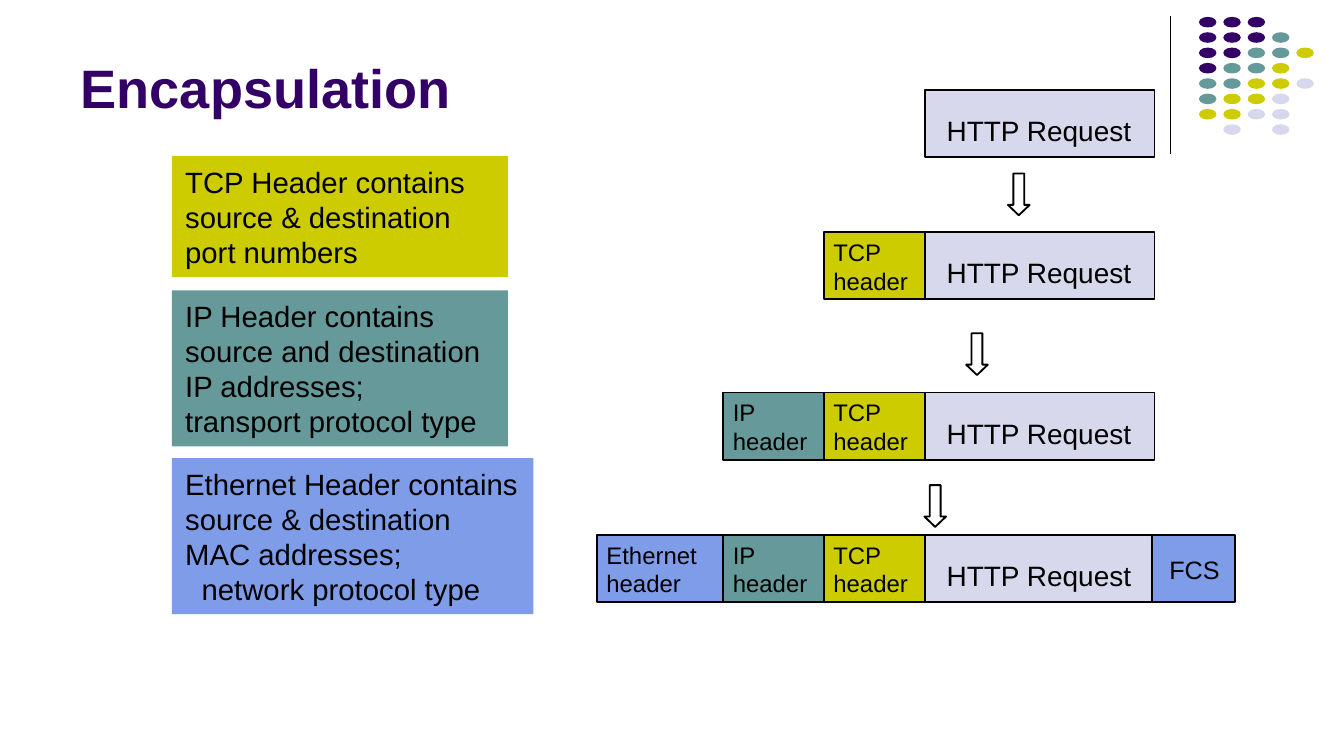
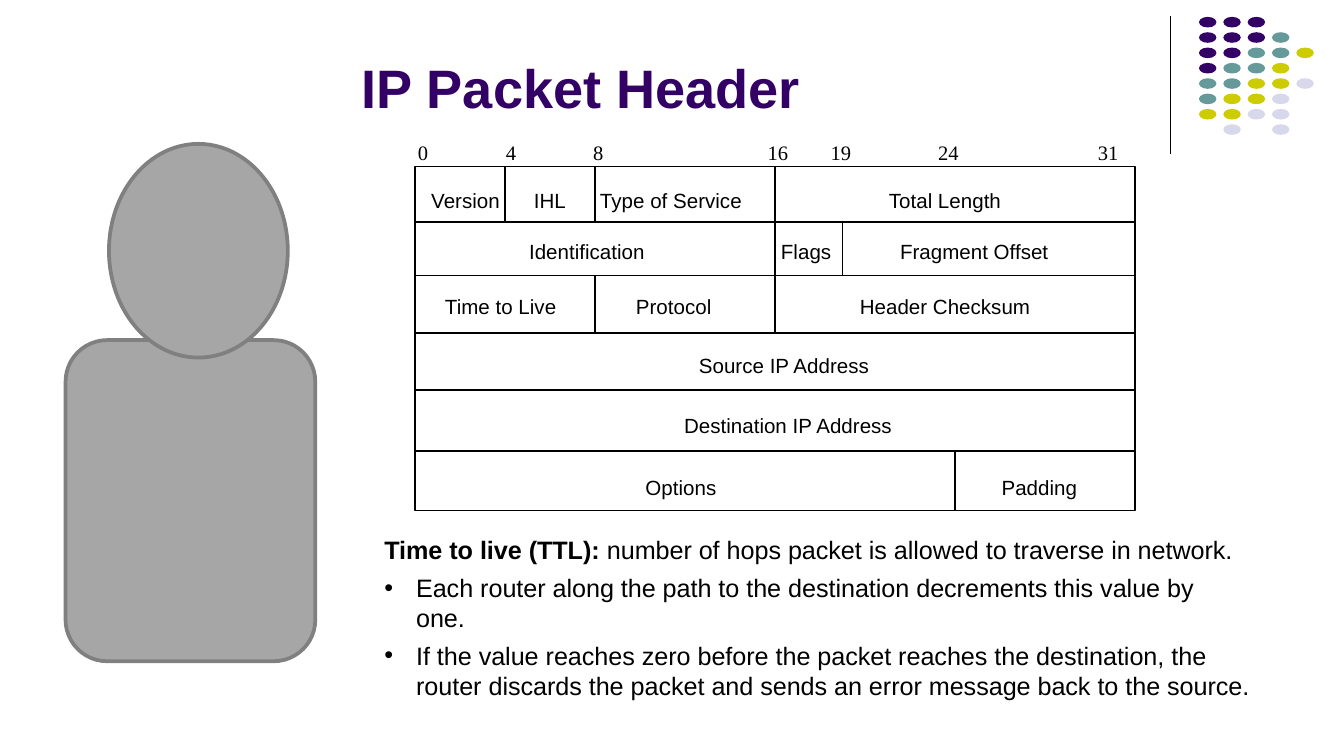
import lxml.etree
import pptx
import pptx.dml.color
import pptx.enum.shapes
import pptx.enum.text
import pptx.oxml.ns
import pptx.util

Cm = pptx.util.Cm
Pt = pptx.util.Pt
SHAPES = pptx.enum.shapes.MSO_SHAPE
ANCHOR = pptx.enum.text.MSO_ANCHOR
ALIGN = pptx.enum.text.PP_ALIGN

BLACK = "000000"
WHITE = "FFFFFF"
PURPLE = "330066"
TEAL = "669999"
YELLOW = "CCCC00"
LAVENDER = "D8D8EC"
BLUE = "7E9CE8"
GREY = "A6A6A6"
DARK_GREY = "808080"

DOT_COLORS = {"P": PURPLE, "T": TEAL, "Y": YELLOW, "L": LAVENDER}
DOT_ROWS = ["PPP", "PPPT", "PPTTY", "PTTY", "TTYYL", "TYYL", "YYLL", " L L"]

SEGMENTS = {
    "Ethernet header": (11.28, 2.39, BLUE, 12.8, 0.18, 0.1),
    "IP header": (13.67, 1.96, TEAL, 12.8, 0.18, 0.1),
    "TCP header": (15.57, 1.96, YELLOW, 12.8, 0.18, 0.1),
    "HTTP Request": (17.48, 4.34, LAVENDER, 15, 0.41, 0.45),
    "FCS": (21.77, 1.57, BLUE, 13.5, 0.33, 0.36),
}
PACKETS = [
    (1.7, ["HTTP Request"]),
    (4.39, ["TCP header", "HTTP Request"]),
    (7.42, ["IP header", "TCP header", "HTTP Request"]),
    (10.11, list(SEGMENTS)),
]
ARROWS = [(19.05, 3.28), (18.26, 6.3), (17.47, 9.17)]
LEGENDS = [
    (2.95, 6.35, 2.29, YELLOW,
     ["TCP Header contains source & destination port numbers"]),
    (5.49, 6.35, 2.95, TEAL,
     ["IP Header contains source and destination IP addresses;",
      "transport protocol type"]),
    (8.66, 6.83, 2.95, BLUE,
     ["Ethernet Header contains source & destination\vMAC addresses;",
      "network protocol type"]),
]

HEADER_LEFT, HEADER_TOP, HEADER_BOTTOM = 7.85, 3.15, 9.65
BIT_WIDTH = 0.425
BIT_LABELS = [(7.9, "0"), (9.56, "4"), (11.21, "8"), (14.51, "16"),
              (15.7, "19"), (17.73, "24"), (20.75, "31")]
HEADER_ROWS = [
    (3.15, 3.56, [(0, 8.15, "Version"), (4, 10.09, "IHL"),
                  (8, 11.34, "Type of Service"), (16, 16.8, "Total Length")]),
    (4.2, 4.52, [(0, 10, "Identification"), (16, 14.76, "Flags"),
                 (19, 17.01, "Fragment Offset")]),
    (5.21, 5.56, [(0, 8.41, "Time to Live"), (8, 12.02, "Protocol"),
                  (16, 16.25, "Header Checksum")]),
    (6.29, 6.68, [(0, 13.21, "Source IP Address")]),
    (7.37, 7.8, [(0, 12.93, "Destination IP Address")]),
    (8.53, 8.97, [(0, 12.2, "Options"), (24, 18.93, "Padding")]),
]


def hex_color(value):
    return pptx.dml.color.RGBColor.from_string(value)


def place(shape, left, top, width, height):
    shape.left, shape.top = Cm(left), Cm(top)
    shape.width, shape.height = Cm(width), Cm(height)


def style_paragraph(paragraph, size, color=BLACK, bold=False, font="Arial"):
    paragraph.alignment = ALIGN.LEFT
    paragraph.font.name = font
    paragraph.font.size = Pt(size)
    paragraph.font.bold = bold
    paragraph.font.color.rgb = hex_color(color)


def set_indent(paragraph, left=0, hanging=0, right=0, bullet=None):
    properties = paragraph._p.get_or_add_pPr()
    properties.set("marL", str(Cm(left)))
    properties.set("marR", str(Cm(right)))
    properties.set("indent", str(-Cm(hanging)))
    tag = "a:buChar" if bullet else "a:buNone"
    element = lxml.etree.SubElement(properties, pptx.oxml.ns.qn(tag))
    if bullet:
        element.set("char", bullet)


def set_insets(frame, left, top):
    frame.margin_left = frame.margin_right = Cm(left)
    frame.margin_top = frame.margin_bottom = Cm(top)


def add_shape(shapes, kind, box, fill=None, line=None, line_width=1):
    shape = shapes.add_shape(kind, *[Cm(length) for length in box])
    shape.shadow.inherit = False
    if fill:
        shape.fill.solid()
        shape.fill.fore_color.rgb = hex_color(fill)
    else:
        shape.fill.background()
    if line:
        shape.line.color.rgb = hex_color(line)
        shape.line.width = Pt(line_width)
    else:
        shape.line.fill.background()
    return shape


def add_line(slide, x1, y1, x2, y2, width=0.88):
    connector = slide.shapes.add_connector(
        pptx.enum.shapes.MSO_CONNECTOR.STRAIGHT, Cm(x1), Cm(y1), Cm(x2), Cm(y2))
    connector.line.color.rgb = hex_color(BLACK)
    connector.line.width = Pt(width)
    lxml.etree.SubElement(connector.element.spPr, pptx.oxml.ns.qn("a:effectLst"))
    return connector


def add_label(slide, left, top, text, font="Arial"):
    width = 0.2 * len(text) + 0.3
    label = slide.shapes.add_textbox(Cm(left), Cm(top), Cm(width), Cm(0.48))
    frame = label.text_frame
    frame.word_wrap = False
    set_insets(frame, 0, 0)
    frame.text = text
    style_paragraph(frame.paragraphs[0], 11, font=font)


def add_title(slide, text, left):
    title = slide.shapes.title
    place(title, left, 0.25, 22.23 - left, 2.13)
    frame = title.text_frame
    frame.text = text
    frame.vertical_anchor = ANCHOR.BOTTOM
    frame.auto_size = pptx.enum.text.MSO_AUTO_SIZE.NONE
    style_paragraph(frame.paragraphs[0], 29, PURPLE, True)


def add_legend(slide, top, width, height, fill, lines):
    shape = add_shape(slide.shapes, SHAPES.RECTANGLE, (3.25, top, width, height), fill)
    frame = shape.text_frame
    frame.word_wrap = True
    frame.margin_right = Cm(0.1)
    frame.vertical_anchor = ANCHOR.MIDDLE
    frame.text = "\n".join(lines)
    for paragraph in frame.paragraphs:
        set_indent(paragraph, 0.31 if paragraph.text.startswith("network") else 0)
        style_paragraph(paragraph, 15.7)


def add_segment(slide, name, top):
    left, width, fill, size, inset_left, inset_top = SEGMENTS[name]
    shape = add_shape(slide.shapes, SHAPES.RECTANGLE, (left, top, width, 1.27), fill, BLACK)
    frame = shape.text_frame
    frame.word_wrap = True
    frame.vertical_anchor = ANCHOR.TOP
    set_insets(frame, inset_left, inset_top)
    frame.margin_right = frame.margin_bottom = 0
    frame.text = name
    style_paragraph(frame.paragraphs[0], size)


def add_packet_header(slide):
    right = HEADER_LEFT + 32 * BIT_WIDTH
    add_shape(slide.shapes, SHAPES.RECTANGLE,
              (HEADER_LEFT, HEADER_TOP, right - HEADER_LEFT, HEADER_BOTTOM - HEADER_TOP),
              line=BLACK, line_width=0.88)
    for left, text in BIT_LABELS:
        add_label(slide, left, 2.64, text, "Times New Roman")
    bottoms = [row[0] for row in HEADER_ROWS[1:]] + [HEADER_BOTTOM]
    for (top, text_top, fields), bottom in zip(HEADER_ROWS, bottoms):
        if top > HEADER_TOP:
            add_line(slide, HEADER_LEFT, top, right, top)
        for bit, text_left, text in fields:
            if bit:
                x = HEADER_LEFT + bit * BIT_WIDTH
                add_line(slide, x, top, x, bottom)
            add_label(slide, text_left, text_top, text)


def add_ttl_notes(slide):
    body = slide.placeholders[1]
    place(body, 7.01, 9.98, 16.99, 2.92)
    frame = body.text_frame
    frame.auto_size = pptx.enum.text.MSO_AUTO_SIZE.NONE
    heading = frame.paragraphs[0]
    heading.add_run().text = "Time to live (TTL):"
    heading.add_run().text = " number of hops packet is allowed to traverse in network."
    heading.runs[0].font.bold = True
    heading.space_before = Pt(0)
    set_indent(heading)
    style_paragraph(heading, 13.5)
    bullets = [
        ("Each router along the path to the destination decrements this value by one.", 0.4),
        ("If the value reaches zero before the packet reaches the destination, the router "
         "discards the packet and sends an error message back to the source.", 0),
    ]
    for text, right in bullets:
        paragraph = frame.add_paragraph()
        paragraph.text = text
        paragraph.space_before = Pt(4)
        set_indent(paragraph, 0.6, 0.6, right, "•")
        style_paragraph(paragraph, 13.5)


def add_master_decoration(presentation, slide):
    divider = add_line(slide, 22.12, 0.3, 22.12, 2.92, 0.75)
    dots = slide.shapes.add_group_shape()
    for row, pattern in enumerate(DOT_ROWS):
        for column, key in enumerate(pattern):
            if key in DOT_COLORS:
                box = (22.66 + 0.46 * column, 0.32 + 0.29 * row, 0.33, 0.2)
                add_shape(dots.shapes, SHAPES.OVAL, box, DOT_COLORS[key])
    for shape in (divider, dots):
        presentation.slide_master.shapes.element.append(shape.element)


def build_encapsulation(presentation):
    slide = presentation.slides.add_slide(presentation.slide_layouts[5])
    add_title(slide, "Encapsulation", 1.27)
    for legend in LEGENDS:
        add_legend(slide, *legend)
    for left, top in ARROWS:
        arrow = add_shape(slide.shapes, SHAPES.DOWN_ARROW, (left, top, 0.41, 0.79), WHITE, BLACK)
        arrow.adjustments[1] = 0.476
    for top, names in PACKETS:
        for name in names:
            add_segment(slide, name, top)
    return slide


def build_packet_header(presentation):
    slide = presentation.slides.add_slide(presentation.slide_layouts[1])
    add_title(slide, "IP Packet Header", 6.58)
    add_packet_header(slide)
    add_ttl_notes(slide)
    add_shape(slide.shapes, SHAPES.ROUNDED_RECTANGLE, (1.24, 6.43, 4.72, 6.07), GREY, DARK_GREY, 2)
    add_shape(slide.shapes, SHAPES.OVAL, (2.06, 2.72, 3.38, 4.04), GREY, DARK_GREY, 2)


def main():
    presentation = pptx.Presentation()
    presentation.slide_width = Cm(25.4)
    presentation.slide_height = Cm(14.29)
    slide = build_encapsulation(presentation)
    build_packet_header(presentation)
    add_master_decoration(presentation, slide)
    presentation.save("out.pptx")


if __name__ == "__main__":
    main()
